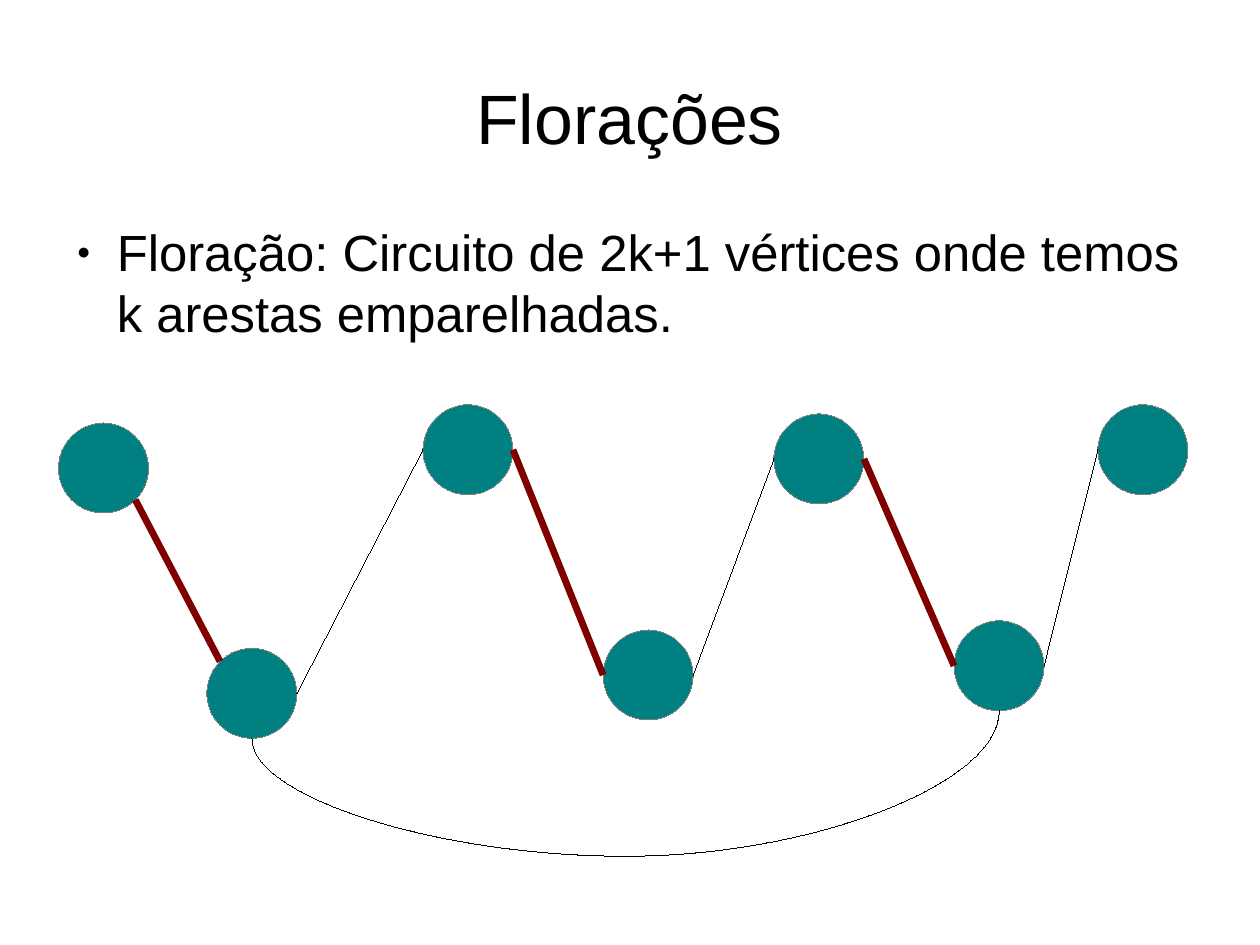
from dataclasses import dataclass
from itertools import pairwise
from math import cos, radians, sin

from lxml.etree import SubElement
from pptx import Presentation
from pptx.dml.color import RGBColor
from pptx.enum.shapes import MSO_CONNECTOR, MSO_SHAPE
from pptx.enum.text import MSO_ANCHOR, MSO_AUTO_SIZE, PP_ALIGN
from pptx.oxml.ns import qn
from pptx.util import Pt


@dataclass(frozen=True)
class Theme:
    font: str = "Arial"
    ink: RGBColor = RGBColor(0, 0, 0)
    node: RGBColor = RGBColor(0, 128, 128)
    rim: RGBColor = RGBColor(128, 128, 128)
    match: RGBColor = RGBColor(128, 0, 0)
    title: float = 44
    body: float = 32
    thin: float = 0.01
    thick: float = 4.31


THEME = Theme()
SIZE = 56.7
NODES = [(65.2, 294.8), (158.7, 436.7), (294.8, 283.3), (408.3, 425.2),
         (515.9, 289.1), (629.4, 419.4), (720, 283.3)]
SAG = 74.4


def assign(item, values):
    for name, value in values.items():
        setattr(item, name, value)


def place(item, left, top, width, height):
    assign(item, {"left": Pt(left), "top": Pt(top),
                  "width": Pt(width), "height": Pt(height)})


def fill(holder, text, box, size, frame, para):
    """Move a placeholder and give it one formatted paragraph."""
    place(holder, *box)
    body = holder.text_frame
    body.text = text
    sides = ("left", "top", "right", "bottom")
    assign(body, {f"margin_{side}": Pt(0) for side in sides})
    assign(body, {"word_wrap": True, "auto_size": MSO_AUTO_SIZE.NONE, **frame})
    line = body.paragraphs[0]
    assign(line, {"space_before": Pt(0), **para})
    font = line.runs[0].font
    assign(font, {"name": THEME.font, "size": Pt(size)})
    font.color.rgb = THEME.ink
    return line


def bullet(line, char, scale, left, hang):
    props = line._p.get_or_add_pPr()
    props.set("marL", str(Pt(left)))
    props.set("indent", str(Pt(-hang)))
    color = SubElement(props, qn("a:buClr"))
    SubElement(color, qn("a:srgbClr"), val=str(THEME.ink))
    SubElement(props, qn("a:buSzPct"), val=str(scale * 1000))
    SubElement(props, qn("a:buFont"), typeface=THEME.font)
    SubElement(props, qn("a:buChar"), char=char)


def rim(node, angle):
    """Point on a vertex's edge, clockwise from its right side."""
    turn = radians(angle)
    return node[0] + SIZE / 2 * cos(turn), node[1] + SIZE / 2 * sin(turn)


def vertex(shapes, node):
    x, y = node
    dot = shapes.add_shape(MSO_SHAPE.OVAL, Pt(x - SIZE / 2), Pt(y - SIZE / 2),
                           Pt(SIZE), Pt(SIZE))
    dot.shadow.inherit = False
    dot.fill.solid()
    dot.fill.fore_color.rgb = THEME.node
    dot.line.color.rgb = THEME.rim
    dot.line.width = Pt(THEME.thin)


def edge(shapes, start, end, color, width, kind=MSO_CONNECTOR.STRAIGHT):
    link = shapes.add_connector(kind, *map(Pt, start + end))
    link.line.color.rgb = color
    link.line.width = Pt(width)
    SubElement(link.element.spPr, qn("a:effectLst"))
    return link


def arc(shapes, start, end):
    """Curve that leaves start downward and sags below both ends."""
    link = edge(shapes, start, end, THEME.ink, THEME.thin, MSO_CONNECTOR.CURVE)
    span, rise = end[0] - start[0], start[1] - end[1]
    # A quarter turn swaps width and height around the same centre.
    place(link, (start[0] + end[0] - rise) / 2,
          (start[1] + end[1] - span) / 2, rise, span)
    props = link.element.spPr
    frame = props.find(qn("a:xfrm"))
    for name, value in {"rot": "5400000", "flipH": "1", "flipV": "1"}.items():
        frame.set(name, value)
    guides = props.find(qn("a:prstGeom")).get_or_add_avLst()
    ratio = round(-SAG / rise * 100000)
    SubElement(guides, qn("a:gd"), name="adj1", fmla=f"val {ratio}")


def graph(shapes):
    for node in NODES:
        vertex(shapes, node)
    for index, (start, end) in enumerate(pairwise(NODES)):
        turn = 45 if index == 0 else 0
        style = ((THEME.ink, THEME.thin) if index % 2
                 else (THEME.match, THEME.thick))
        edge(shapes, rim(start, turn), rim(end, turn + 180), *style)
    arc(shapes, rim(NODES[1], 90), rim(NODES[5], 90))


def main():
    deck = Presentation()
    assign(deck, {"slide_width": Pt(793.75), "slide_height": Pt(595.25)})
    slide = deck.slides.add_slide(deck.slide_layouts[1])
    title, body = slide.placeholders
    fill(title, "Florações", (39.6, 23.8, 714.2, 99.4), THEME.title,
         {"vertical_anchor": MSO_ANCHOR.MIDDLE},
         {"alignment": PP_ALIGN.CENTER})
    line = fill(body, "Floração: Circuito de 2k+1 vértices onde temos "
                "k arestas emparelhadas.",
                (39.6, 139, 714.2, 393.1), THEME.body,
                {"vertical_anchor": MSO_ANCHOR.TOP},
                {"alignment": PP_ALIGN.LEFT, "space_after": Pt(14.2),
                 "line_spacing": 1.0})
    bullet(line, "●", 45, 34, 25.2)
    graph(slide.shapes)
    deck.save("out.pptx")


if __name__ == "__main__":
    main()
